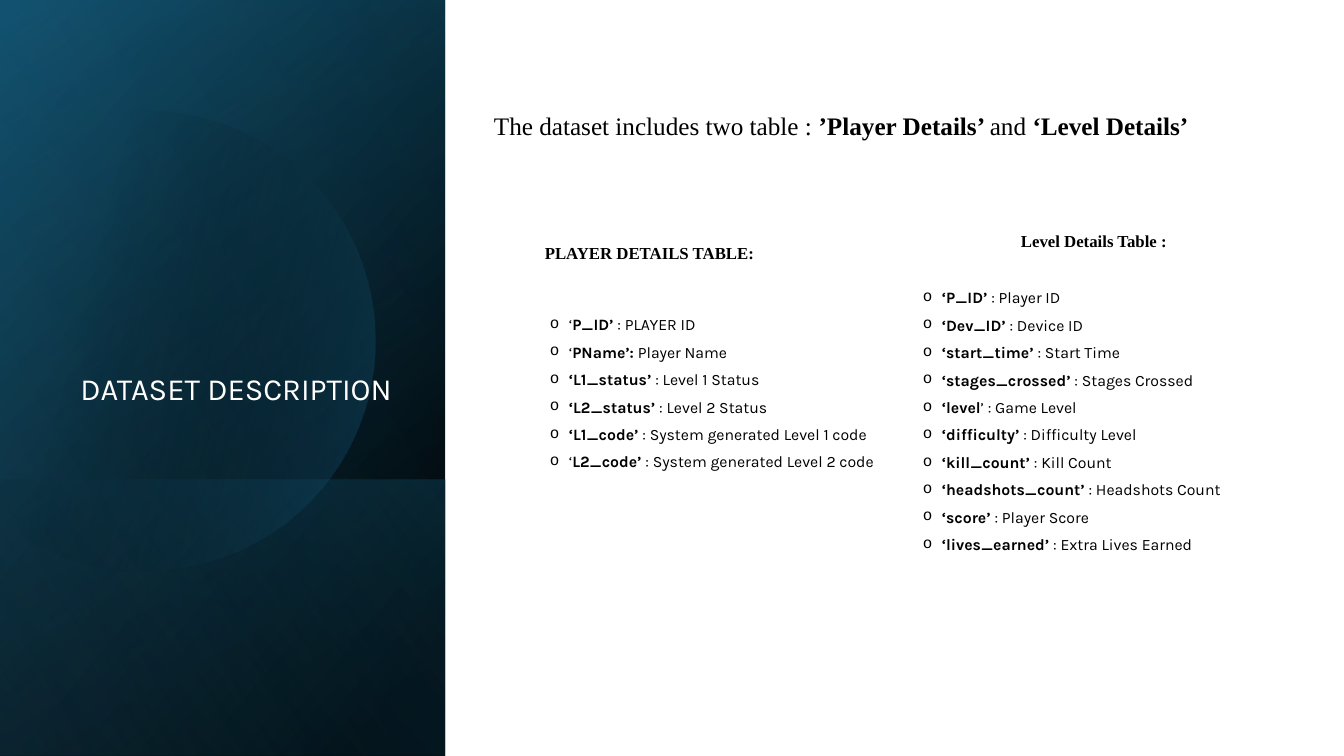
import pptx
import pptx.dml.color
import pptx.enum.shapes
import pptx.enum.text
import pptx.oxml
import pptx.oxml.ns
import pptx.util
from lxml import etree

# Text between asterisks is bold.
TITLE = "DATASET DESCRIPTION"
SUMMARY = "The dataset includes two table : *’Player Details’ *and *‘Level Details’*"
TABLES = [
    {"heading": "*PLAYER DETAILS TABLE:*", "heading_at": (469, 238, 361, 57),
     "list_at": (540, 310, 361, 230),
     "fields": [
         "‘*P_ID’ *: PLAYER ID",
         "‘*PName’: *Player Name",
         "*‘L1_status’ *: Level 1 Status",
         "*‘L2_status’ *: Level 2 Status",
         "*‘L1_code’ *: System generated Level 1 code",
         "‘*L2_code’ *: System generated Level 2 code",
     ]},
    {"heading": "*Level Details Table :*", "heading_at": (913, 226, 362, 57),
     "list_at": (913, 283, 362, 257),
     "fields": [
         "*‘P_ID’ *: Player ID",
         "*‘Dev_ID’ *: Device ID",
         "*‘start_time’ *: Start Time",
         "*‘stages_crossed’ *: Stages Crossed",
         "*‘level*’ : Game Level",
         "*‘difficulty’ *: Difficulty Level",
         "*‘kill_count’ *: Kill Count",
         "*‘headshots_count’ *: Headshots Count",
         "*‘score’ *: Player Score",
         "*‘lives_earned’ *: Extra Lives Earned",
     ]},
]
COLORS = {"white": "FFFFFF", "black": "000000", "navy": "104862",
          "teal": "156082", "sky": "46B1E1"}
SANS, SERIF = "Karla", "Times New Roman"

PANEL_WIDTH, SLIDE_WIDTH, SLIDE_HEIGHT = 445, 1344, 756
GLOW_TOP = 480
# Gradient stops: position %, colour, opacity %
BASE = (50, [(8, "black", 100), (100, "navy", 100)])
WASH = (30, [(0, "black", 0), (99, "teal", 46)])
GLOW = (130, [(2, "teal", 29), (100, "black", 30)])
DISC = (14, [(29, "black", 0), (100, "teal", 43)])
SHEEN = (120, [(0, "black", 0), (99, "sky", 11)])
DISC_START = (150, 111)
# Six numbers make a curve, two a straight line.
DISC_SEGMENTS = [
    (248, 113, 338, 178, 366, 277),
    (401, 400, 331, 527, 209, 562),
    (132, 585, 53, 566, -3, 518),
    (-15, 507),
    (-15, 176),
    (0, 162),
    (23, 143, 50, 129, 81, 120),
    (104, 114, 127, 111, 150, 111),
]
CURVE_STEPS = 24

EMU_PER_PX = 914400 / 100.8
ALIGN = pptx.enum.text.PP_ALIGN
qn = pptx.oxml.ns.qn


def px(length):
    return pptx.util.Emu(round(length * EMU_PER_PX))


def paint(shape, gradient):
    """Fill a shape with a linear gradient whose stops have opacity."""
    angle, stops = gradient
    shape.shadow.inherit = False
    shape.line.fill.background()
    shape.fill.background()
    stop_xml = "".join(
        f'<a:gs pos="{position * 1000}"><a:srgbClr val="{COLORS[color]}">'
        f'<a:alpha val="{opacity * 1000}"/></a:srgbClr></a:gs>'
        for position, color, opacity in stops)
    fill = pptx.oxml.parse_xml(
        f'<a:gradFill {pptx.oxml.ns.nsdecls("a")} rotWithShape="1">'
        f'<a:gsLst>{stop_xml}</a:gsLst>'
        f'<a:lin ang="{angle * 60000}" scaled="0"/></a:gradFill>')
    properties = shape._element.spPr
    properties.replace(properties.find(qn("a:noFill")), fill)


def add_panel(page, top, gradient):
    """Cover the left panel from top down with a mirrored quarter-turned rectangle."""
    width, height = SLIDE_HEIGHT - top, PANEL_WIDTH
    left = (PANEL_WIDTH - width) / 2
    upper = (top + SLIDE_HEIGHT - height) / 2
    shape = page.shapes.add_shape(pptx.enum.shapes.MSO_SHAPE.RECTANGLE,
                                  px(left), px(upper), px(width), px(height))
    shape.rotation = 90
    shape._element.spPr.find(qn("a:xfrm")).set("flipH", "1")
    paint(shape, gradient)


def curve_points(start, segment):
    """Points along a cubic curve, or the end of a straight line."""
    if len(segment) == 2:
        return [segment]
    controls = [start, segment[0:2], segment[2:4], segment[4:6]]
    points = []
    for step in range(1, CURVE_STEPS + 1):
        t = step / CURVE_STEPS
        weights = ((1 - t) ** 3, 3 * t * (1 - t) ** 2, 3 * t * t * (1 - t), t ** 3)
        points.append(tuple(sum(w * c[axis] for w, c in zip(weights, controls))
                            for axis in (0, 1)))
    return points


def add_disc(page):
    points = [DISC_START]
    for segment in DISC_SEGMENTS:
        points += curve_points(points[-1], segment)
    builder = page.shapes.build_freeform(px(points[0][0]), px(points[0][1]))
    builder.add_line_segments([(px(x), px(y)) for x, y in points[1:]], close=True)
    paint(builder.convert_to_shape(), DISC)


def add_bullet(para):
    properties = para._p.get_or_add_pPr()
    properties.set("marL", str(px(19)))
    properties.set("indent", str(-px(19)))
    etree.SubElement(properties, qn("a:buFont"), typeface="Courier New")
    etree.SubElement(properties, qn("a:buChar"), char="o")


def add_text(page, at, lines, size, font, color="black", align=ALIGN.LEFT,
             after=0, spacing=None, bottom=False, bullets=False):
    box = page.shapes.add_textbox(*map(px, at))
    frame = box.text_frame
    frame.word_wrap = True
    if bottom:
        frame.vertical_anchor = pptx.enum.text.MSO_ANCHOR.BOTTOM
    for index, line in enumerate(lines):
        para = frame.add_paragraph() if index else frame.paragraphs[0]
        para.alignment = align
        para.space_after = pptx.util.Pt(after)
        if spacing:
            para.line_spacing = spacing
        if bullets:
            add_bullet(para)
        for order, part in enumerate(line.split("*")):
            if not part:
                continue
            span = para.add_run()
            span.text = part
            span.font.name = font
            span.font.size = pptx.util.Pt(size)
            span.font.bold = order % 2 == 1
            span.font.color.rgb = pptx.dml.color.RGBColor.from_string(COLORS[color])


def main():
    deck = pptx.Presentation()
    deck.slide_width, deck.slide_height = px(SLIDE_WIDTH), px(SLIDE_HEIGHT)
    page = deck.slides.add_slide(deck.slide_layouts[6])

    add_panel(page, 0, BASE)
    add_panel(page, 0, WASH)
    add_panel(page, GLOW_TOP, GLOW)
    add_disc(page)
    add_panel(page, 0, SHEEN)

    add_text(page, (64, 185, 344, 227), [TITLE], 22, SANS, color="white",
             align=ALIGN.CENTER, spacing=0.9, bottom=True)
    for table in TABLES:
        add_text(page, table["heading_at"], [table["heading"]], 12, SERIF,
                 align=ALIGN.CENTER, after=6)
        add_text(page, table["list_at"], table["fields"], 11.3, SANS,
                 align=ALIGN.JUSTIFY, after=6, bullets=True)
    add_text(page, (484, 105, 829, 72), [SUMMARY], 18, SERIF)
    deck.save("out.pptx")


if __name__ == "__main__":
    main()
